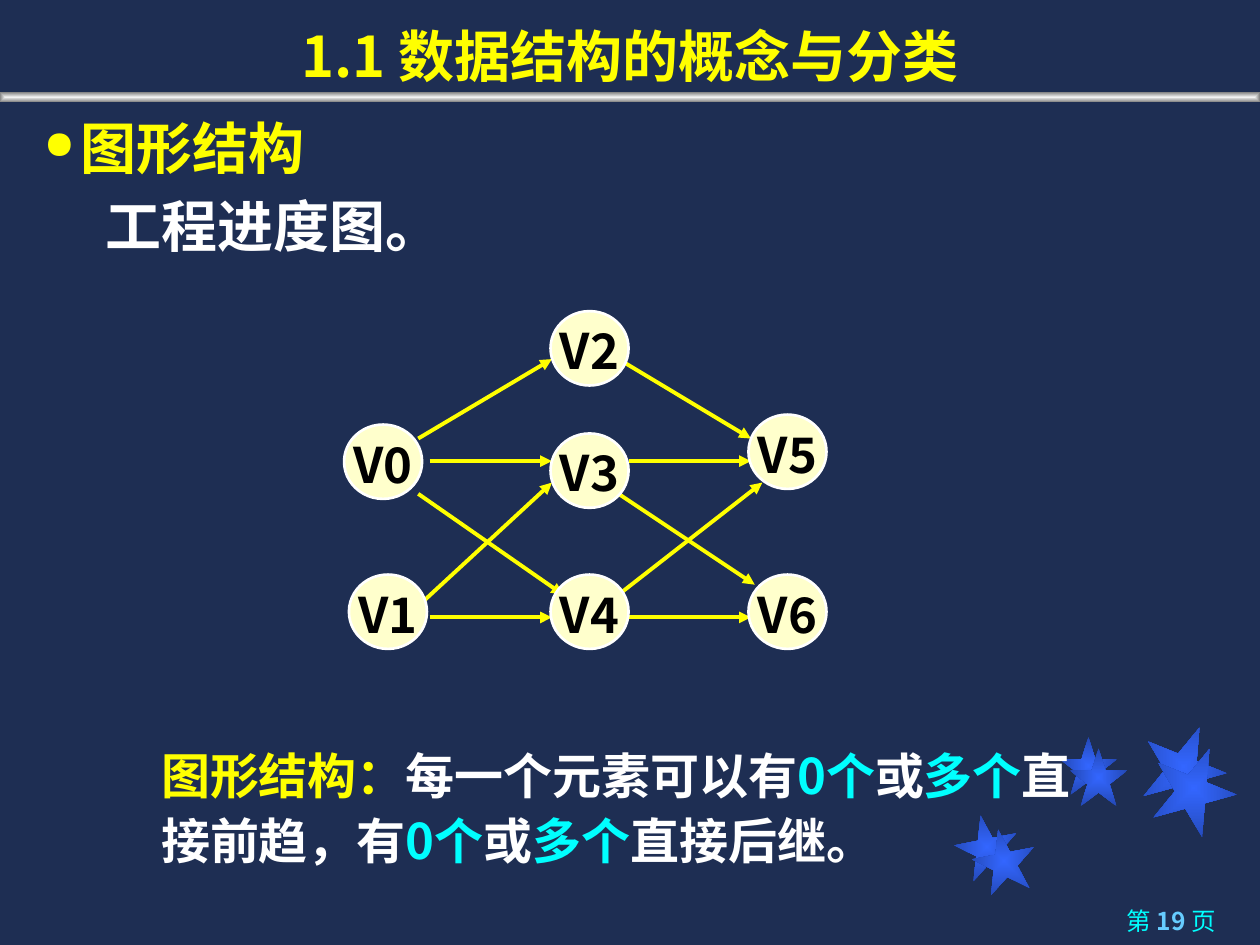
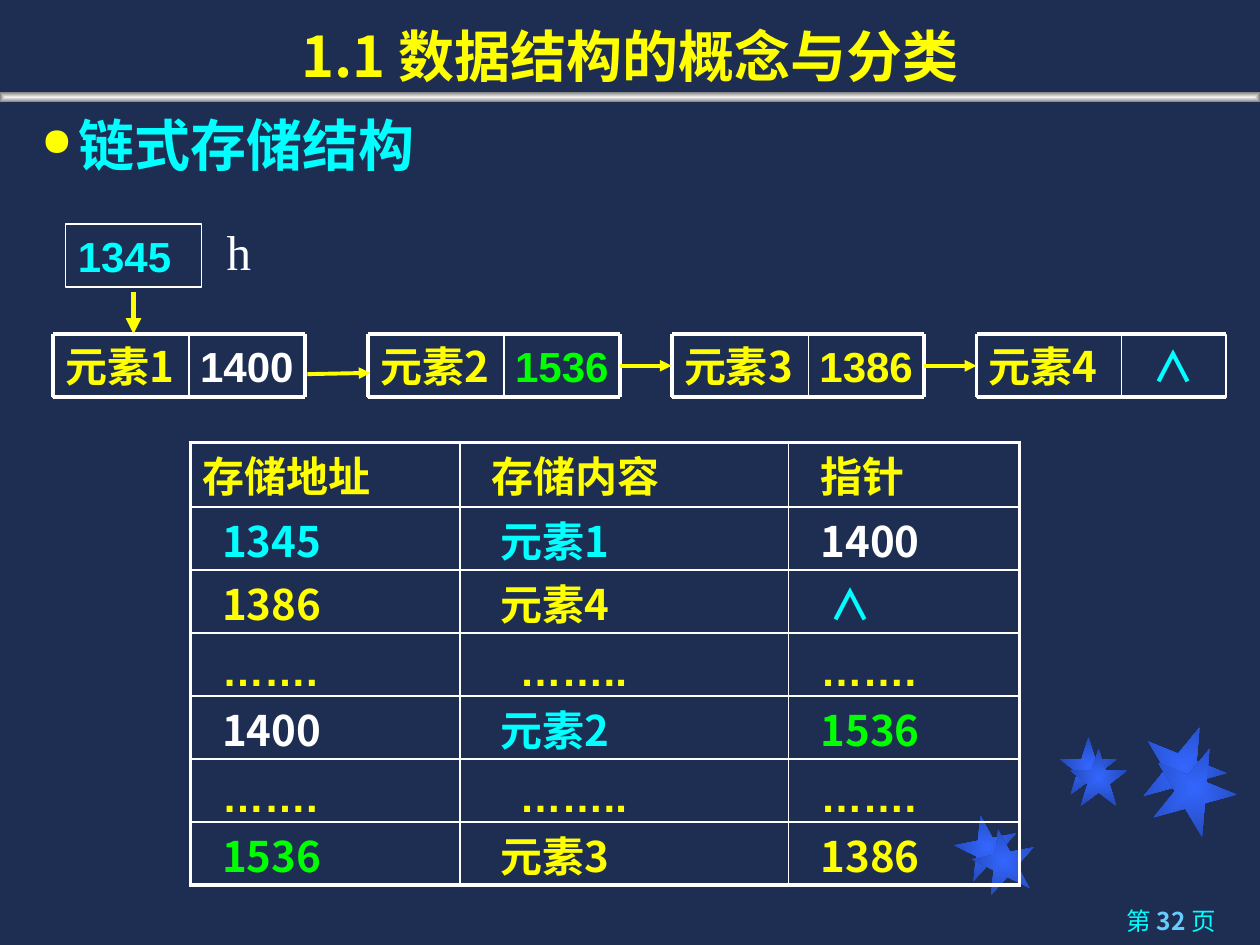
from dataclasses import dataclass
from typing import NamedTuple

from lxml import etree
from pptx import Presentation
from pptx import util as u
from pptx.dml.color import RGBColor
from pptx.enum import shapes, text
from pptx.oxml.ns import qn

# Shared colours, fonts and sizes
NAVY, WHITE, BLACK, CREAM = "1E2E53", "FFFFFF", "000000", "FFFFCC"
YELLOW, CYAN, GREEN, SKY = "FFFF00", "00FFFF", "00FF00", "66CCFF"
CJK, SANS, SERIF = "Noto Sans CJK SC", "Arial", "Times New Roman"
LEFT, CENTER, RIGHT = text.PP_ALIGN.LEFT, text.PP_ALIGN.CENTER, text.PP_ALIGN.RIGHT
TOP, MIDDLE, BOTTOM = text.MSO_ANCHOR.TOP, text.MSO_ANCHOR.MIDDLE, text.MSO_ANCHOR.BOTTOM
TITLE = "1.1 数据结构的概念与分类"
HANGING = 21
NODE_WIDTH, NODE_HEIGHT = 44.6, 42.5
BOX_TOP, BOX_HEIGHT = 191, 36


class Span(NamedTuple):
    text: str
    color: str
    bold: bool = True
    font: str = CJK
    east_asian: str = CJK


class Box(NamedTuple):
    left: float
    top: float
    width: float
    height: float


class Star(NamedTuple):
    left: float
    top: float
    size: float
    rotation: float


class Vertex(NamedTuple):
    label: str
    left: float
    top: float


class Entry(NamedTuple):
    text: str
    color: str
    indent: float = 11
    font: str = CJK


@dataclass
class ListNode:
    element: str
    pointer: Span
    left: float
    split: float
    right: float
    closed: bool = True


STARS = [Star(545.8, 465.8, 36, 349), Star(605.5, 421.2, 33, 0), Star(652.3, 414, 48.2, 22),
         Star(555.8, 473.8, 36, 349), Star(611.3, 427.7, 33, 0), Star(658, 426.2, 48.2, 22)]

VERTICES = [Vertex("V1", 199.4, 328.3), Vertex("V0", 196.6, 242.6), Vertex("V2", 314.6, 177.8),
            Vertex("V3", 314.6, 247.7), Vertex("V4", 314.6, 328.3),
            Vertex("V5", 427.7, 236.9), Vertex("V6", 427.7, 328.3)]

EDGES = [(239, 250.6, 315.4, 205.2), (245.5, 263.5, 315.4, 263.5), (359.3, 263.5, 429.1, 263.5),
         (359.3, 352.8, 429.1, 352.8), (245.5, 352.8, 315.4, 352.8), (239, 282.2, 321.8, 339.8),
         (239, 346.3, 315.4, 275.8), (353.5, 339.8, 435.6, 275.8), (353.5, 282.2, 431.3, 334.1),
         (353.5, 205.2, 429.1, 250.6)]

LIST_NODES = [
    ListNode("元素1", Span("1400", WHITE, font=SANS), 30.2, 108, 174.2),
    ListNode("元素2", Span("1536", GREEN, font=SANS), 210.2, 288, 354.2),
    ListNode("元素3", Span("1386", YELLOW, font=SANS), 383.8, 462.2, 527.8),
    ListNode("元素4", Span("∧", CYAN), 558, 640.8, 700.6, closed=False),
]

DOTS_ROW = [Entry("…….", YELLOW, 11, SANS), Entry("……..", YELLOW, 27, SANS),
            Entry("…….", YELLOW, 11, SANS)]
STORAGE_ROWS = [
    [Entry("存储地址", YELLOW, 0), Entry("存储内容", YELLOW), Entry("指针", YELLOW)],
    [Entry("1345", CYAN), Entry("元素1", CYAN, 16), Entry("1400", WHITE)],
    [Entry("1386", YELLOW), Entry("元素4", YELLOW, 16), Entry("∧", CYAN, 16)],
    DOTS_ROW,
    [Entry("1400", WHITE), Entry("元素2", CYAN, 16), Entry("1536", GREEN)],
    DOTS_ROW,
    [Entry("1536", GREEN), Entry("元素3", YELLOW, 16), Entry("1386", YELLOW)],
]


def rgb(color: str) -> RGBColor:
    return RGBColor.from_string(color)


def points(*lengths: float) -> list:
    return [u.Pt(length) for length in lengths]


def write(paragraph, spans: list[Span], size: float, align=LEFT, line: float = 1.2) -> None:
    """Fill a paragraph with formatted spans; line is the pitch in ems."""
    paragraph.alignment = align
    paragraph.line_spacing = u.Pt(round(size * line, 1))
    for span in spans:
        run = paragraph.add_run()
        run.text = span.text
        run.font.size, run.font.bold, run.font.name = u.Pt(size), span.bold, span.font
        run.font.color.rgb = rgb(span.color)
        east_asian = etree.SubElement(run.font._element, qn("a:ea"))
        east_asian.set("typeface", span.east_asian)


def set_indent(paragraph, margin: float, first: float) -> None:
    properties = paragraph._p.get_or_add_pPr()
    properties.set("marL", str(u.Pt(margin)))
    properties.set("indent", str(u.Pt(first)))


def add_bullet(paragraph) -> None:
    set_indent(paragraph, HANGING, -HANGING)
    properties = paragraph._p.get_or_add_pPr()
    color = etree.SubElement(properties, qn("a:buClr"))
    etree.SubElement(color, qn("a:srgbClr")).set("val", YELLOW)
    etree.SubElement(properties, qn("a:buSzPct")).set("val", "70000")
    etree.SubElement(properties, qn("a:buChar")).set("char", "●")


def add_text(slide, box: Box, spans: list[Span], size: float, align=LEFT, line: float = 1.2,
             anchor=TOP, bullet: bool = False):
    frame = slide.shapes.add_textbox(*points(*box)).text_frame
    frame.word_wrap = True
    frame.vertical_anchor = anchor
    if bullet:
        add_bullet(frame.paragraphs[0])
    write(frame.paragraphs[0], spans, size, align, line)
    return frame


def add_preset(slide, kind, box: Box, fill: str = "", line: str = "", width: float = 0.75):
    shape = slide.shapes.add_shape(kind, *points(*box))
    shape.shadow.inherit = False
    if fill:
        shape.fill.solid()
        shape.fill.fore_color.rgb = rgb(fill)
    else:
        shape.fill.background()
    if line:
        shape.line.color.rgb = rgb(line)
        shape.line.width = u.Pt(width)
    else:
        shape.line.fill.background()
    return shape


def add_glow(shape, inner: str, outer: str) -> None:
    """Gradient that follows the outline and runs out from the centre."""
    shape.fill.gradient()
    for stop, color in zip(shape.fill.gradient_stops, (inner, outer)):
        stop.color.rgb = rgb(color)
    gradient = shape._element.spPr.find(qn("a:gradFill"))
    gradient.remove(gradient.find(qn("a:lin")))
    outline = etree.SubElement(gradient, qn("a:path"))
    outline.set("path", "shape")
    center = etree.SubElement(outline, qn("a:fillToRect"))
    for side in "ltrb":
        center.set(side, "50000")


def add_line(slide, ends: tuple, color: str = WHITE, width: float = 2.25, arrow: bool = False):
    connector = slide.shapes.add_connector(shapes.MSO_CONNECTOR.STRAIGHT, *points(*ends))
    connector.line.color.rgb = rgb(color)
    connector.line.width = u.Pt(width)
    if arrow:
        line = connector.line._get_or_add_ln()
        etree.SubElement(line, qn("a:tailEnd")).set("type", "triangle")
    etree.SubElement(connector._element.spPr, qn("a:effectLst"))
    return connector


def add_labelled_box(slide, box: Box, span: Span, align=LEFT):
    shape = add_preset(slide, shapes.MSO_SHAPE.RECTANGLE, box, line=WHITE)
    frame = shape.text_frame
    frame.word_wrap = False
    frame.vertical_anchor = MIDDLE
    write(frame.paragraphs[0], [span], 24, align)
    return shape


def start_slide(presentation, number: int):
    """New slide with background, stars, title band, title and page number."""
    slide = presentation.slides.add_slide(presentation.slide_layouts[6])
    slide.background.fill.solid()
    slide.background.fill.fore_color.rgb = rgb(NAVY)
    for star in STARS:
        shape = add_preset(slide, shapes.MSO_SHAPE.STAR_5_POINT,
                           Box(star.left, star.top, star.size, star.size))
        shape.rotation = star.rotation
        add_glow(shape, "3366FF", "2449B6")
    band = add_preset(slide, shapes.MSO_SHAPE.RECTANGLE, Box(0, 52.6, 720, 5.8))
    add_glow(band, "F2F2F2", "808080")
    add_text(slide, Box(0, 0, 720, 54), [Span(TITLE, YELLOW)], 32, CENTER, anchor=BOTTOM)
    page = [Span("第 ", CYAN, False), Span(f"{number} ", SKY), Span("页", CYAN, False)]
    add_text(slide, Box(512.6, 514, 189.4, 26), page, 14, RIGHT)
    return slide


def build_graph_slide(presentation) -> None:
    slide = start_slide(presentation, 19)
    frame = add_text(slide, Box(18, 61.2, 685.4, 124), [Span("图形结构", YELLOW)], 32, bullet=True)
    example = frame.add_paragraph()
    set_indent(example, HANGING + 14.4, 0)
    example.space_before = u.Pt(6.4)
    write(example, [Span("工程进度图。", WHITE)], 32)

    # Definition
    none, many, either = Span("0个", CYAN), Span("多个", CYAN), Span("或", WHITE)
    definition = [Span("图形结构：", YELLOW), Span("每一个元素可以有", WHITE), none, either, many,
                  Span("直接前趋，有", WHITE), none, either, many, Span("直接后继。", WHITE)]
    add_text(slide, Box(85, 419, 558.7, 87), definition, 28, line=1.32)

    # Graph
    for edge in EDGES:
        add_line(slide, edge, YELLOW, arrow=True)
    for vertex in VERTICES:
        circle = add_preset(slide, shapes.MSO_SHAPE.OVAL,
                            Box(vertex.left, vertex.top, NODE_WIDTH, NODE_HEIGHT),
                            CREAM, WHITE, 1.5)
        label = circle.text_frame
        label.word_wrap = False
        label.vertical_anchor = MIDDLE
        label.margin_left = label.margin_right = label.margin_bottom = 0
        label.margin_top = u.Pt(2)
        write(label.paragraphs[0], [Span(vertex.label, BLACK)], 28, CENTER)


def add_list_node(slide, node: ListNode) -> tuple:
    """Draw one list cell and return its element and pointer boxes."""
    bottom = BOX_TOP + BOX_HEIGHT
    pointer = add_labelled_box(
        slide, Box(node.split, BOX_TOP, node.right - node.split, BOX_HEIGHT), node.pointer, CENTER)
    element = add_labelled_box(
        slide, Box(node.left, BOX_TOP, node.split - node.left, BOX_HEIGHT),
        Span(node.element, YELLOW))
    for y in (BOX_TOP, bottom):
        add_line(slide, (node.left, y, node.right, y))
    for x in (node.left, node.right) if node.closed else (node.left,):
        add_line(slide, (x, BOX_TOP, x, bottom))
    return element, pointer


def set_borders(cell, widths: dict[str, float]) -> None:
    properties = cell._tc.get_or_add_tcPr()
    for position, (side, width) in enumerate(widths.items()):
        border = etree.Element(qn(f"a:ln{side}"))
        border.set("w", str(u.Pt(width)))
        fill = etree.SubElement(border, qn("a:solidFill"))
        etree.SubElement(fill, qn("a:srgbClr")).set("val", WHITE)
        properties.insert(position, border)


def add_storage_table(slide) -> None:
    widths = (154.1, 187.9, 131.8)
    last_row, last_column = len(STORAGE_ROWS) - 1, len(widths) - 1
    table = slide.shapes.add_table(last_row + 1, last_column + 1,
                                   *points(108.7, 252.7, sum(widths), 253)).table
    table.first_row = table.horz_banding = False
    for column, width in zip(table.columns, widths):
        column.width = u.Pt(width)
    for r, entries in enumerate(STORAGE_ROWS):
        table.rows[r].height = u.Pt(36 if r else 37)
        for c, entry in enumerate(entries):
            cell = table.cell(r, c)
            cell.fill.background()
            cell.margin_left = u.Pt(7.2 + entry.indent)
            cell.margin_top, cell.margin_bottom = u.Pt(7), 0
            span = Span(entry.text, entry.color, font=entry.font, east_asian=entry.font)
            write(cell.text_frame.paragraphs[0], [span], 24)
            outer = {"L": c == 0, "R": c == last_column, "T": r == 0, "B": r == last_row}
            set_borders(cell, {side: 2.25 if edge else 1 for side, edge in outer.items()})


def build_linked_list_slide(presentation) -> None:
    slide = start_slide(presentation, 32)
    add_text(slide, Box(16.6, 57.6, 685.4, 46), [Span("链式存储结构", CYAN)], 32,
             line=1.26, bullet=True)

    # Linked list and its arrows
    boxes = [add_list_node(slide, node) for node in LIST_NODES]
    add_line(slide, (175.7, 213.8, 211.7, 213.1), YELLOW, arrow=True)
    middle = BOX_TOP + BOX_HEIGHT / 2
    for i in (1, 2):
        ends = (LIST_NODES[i].right, middle, LIST_NODES[i + 1].left, middle)
        link = add_line(slide, ends, YELLOW, arrow=True)
        link.begin_connect(boxes[i][1], 3)
        link.end_connect(boxes[i + 1][0], 1)

    # Head pointer
    add_labelled_box(slide, Box(37.4, 128, 78, 36), Span("1345", CYAN, font=SANS))
    add_text(slide, Box(122.4, 123.1, 28.8, 41), [Span("h", WHITE, False, SERIF)], 28)
    add_line(slide, (76.3, 167, 76.3, 190.8), YELLOW, 3, arrow=True)

    add_storage_table(slide)


def main() -> None:
    presentation = Presentation()
    presentation.slide_width, presentation.slide_height = points(720, 540)
    build_graph_slide(presentation)
    build_linked_list_slide(presentation)
    presentation.save("out.pptx")


if __name__ == "__main__":
    main()
